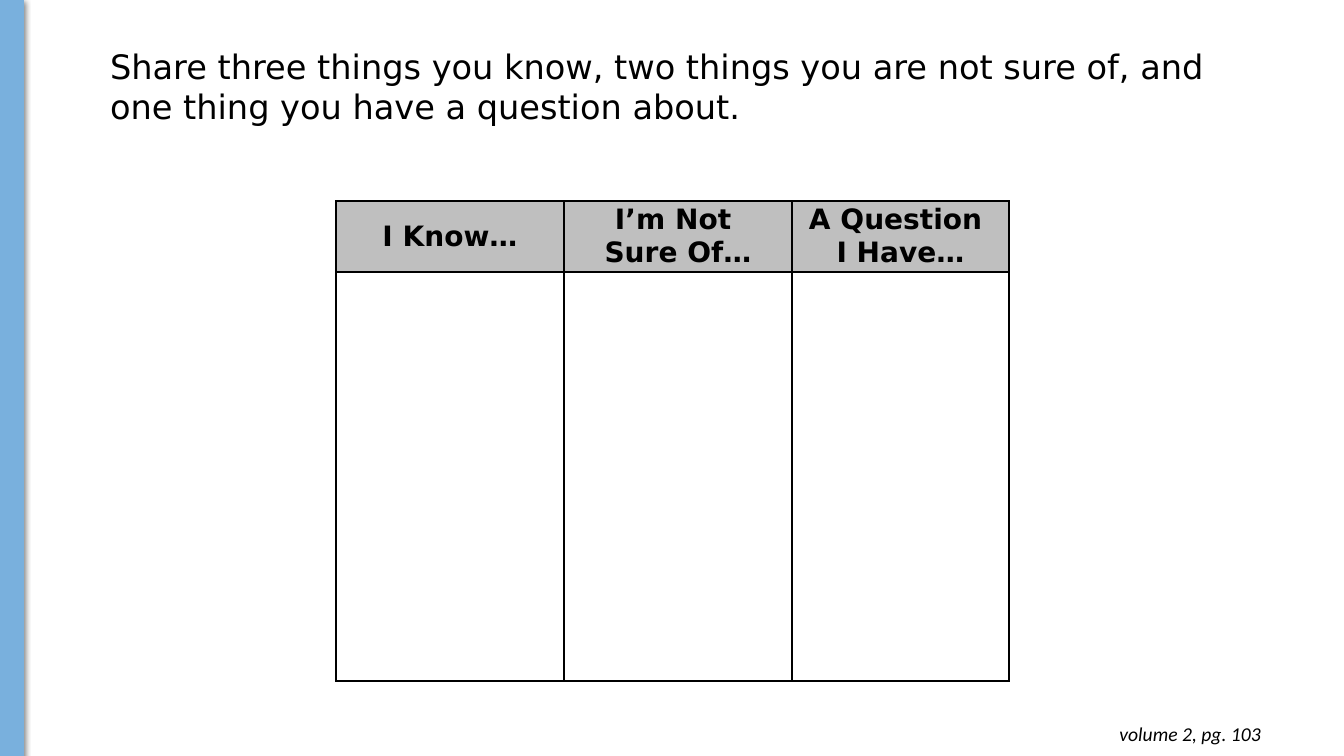
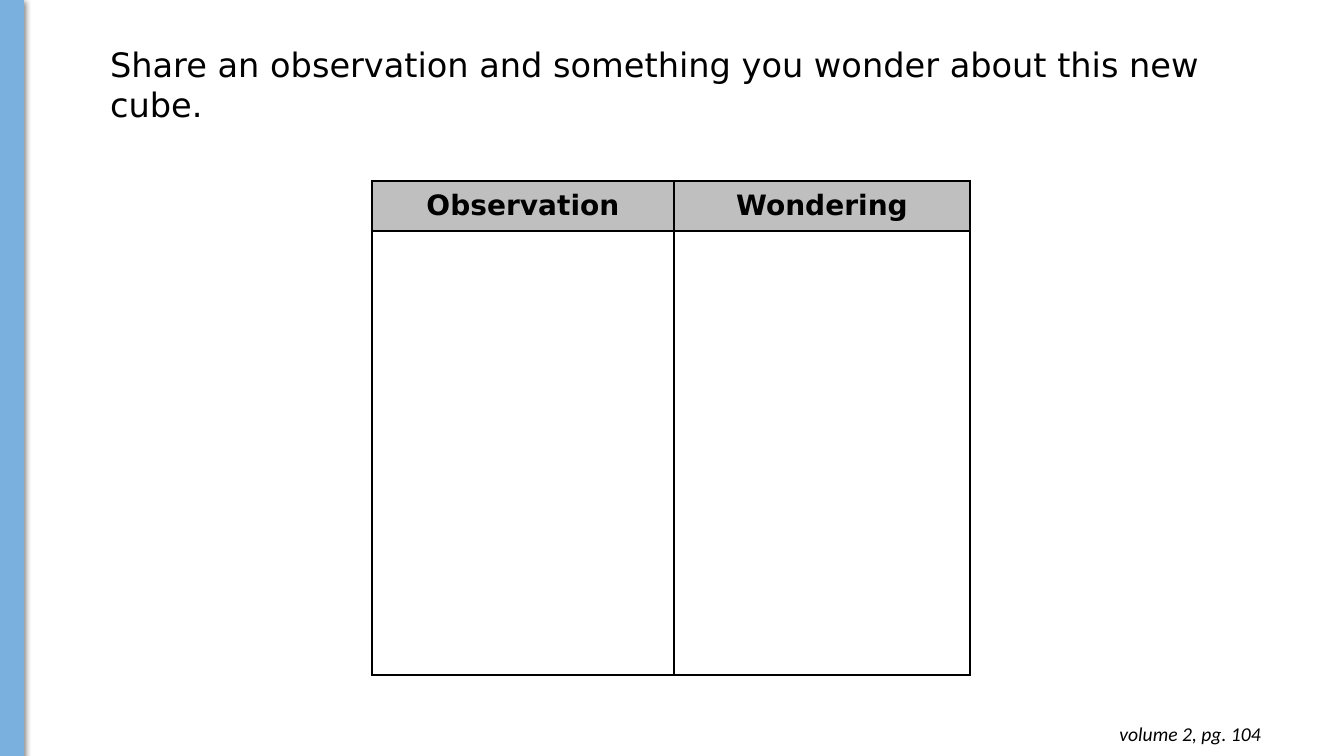
"""Build two discussion slides, each with a prompt and a blank chart to fill in."""
from lxml import etree
from pptx import Presentation
from pptx.dml.color import RGBColor
from pptx.enum.shapes import MSO_SHAPE
from pptx.enum.text import MSO_ANCHOR, MSO_AUTO_SIZE, PP_ALIGN
from pptx.oxml import parse_xml
from pptx.oxml.ns import nsdecls
from pptx.util import Emu, Pt

BLACK = RGBColor(0x00, 0x00, 0x00)
GRAY = RGBColor(0xBF, 0xBF, 0xBF)
BLUE = RGBColor(0x79, 0xB0, 0xDD)
PROMPT_FONT = "DejaVu Sans"
FOOTER_FONT = "Calibri"

SLIDES = [
    {
        "prompt": "Share three things you know, two things you are not sure of, "
                  "and one thing you have a question about.",
        "prompt_box": (100, 41, 1170, 92),
        "heads": ["I Know…", "I’m Not \nSure Of…", "A Question \nI Have…"],
        "corner": (336, 201),
        "cols": [228, 228, 217],
        "rows": [71, 409],
        "inset": 7,
        "footer": "volume 2, pg. 103",
    },
    {
        "prompt": "Share an observation and something you wonder about this new cube.",
        "prompt_box": (100, 39, 1160, 92),
        "heads": ["Observation", "Wondering"],
        "corner": (372, 181),
        "cols": [302, 296],
        "rows": [50, 444],
        "inset": 6,
        "footer": "volume 2, pg. 104",
    },
]


def px(n):
    return Emu(round(n * 914400 / 100.8))


def style(p, font, size, align, bold=False, italic=False):
    p.alignment = align
    for r in p.runs:
        r.font.name, r.font.size = font, Pt(size)
        r.font.bold, r.font.italic = bold, italic
        r.font.color.rgb = BLACK


def add_band(s):
    sp = s.shapes.add_shape(MSO_SHAPE.RECTANGLE, 0, 0, px(24), px(757))
    sp.fill.solid()
    sp.fill.fore_color.rgb = BLUE
    sp.line.color.rgb = BLUE
    sp.line.width = Pt(0.75)
    sp.shadow.inherit = False
    effects = sp.element.spPr.find("{*}effectLst")
    effects.append(parse_xml(
        f'<a:outerShdw {nsdecls("a")} blurRad="{Pt(4.5)}" dist="{Pt(1.5)}" '
        'dir="5400000" rotWithShape="0"><a:srgbClr val="000000">'
        '<a:alpha val="50000"/></a:srgbClr></a:outerShdw>'))


def set_prompt(s, text, box):
    sp = s.shapes.title
    sp.left, sp.top, sp.width, sp.height = map(px, box)
    tf = sp.text_frame
    tf.text = text
    tf.word_wrap = True
    tf.auto_size = MSO_AUTO_SIZE.NONE
    tf.vertical_anchor = MSO_ANCHOR.TOP
    style(tf.paragraphs[0], PROMPT_FONT, 24, PP_ALIGN.LEFT)


def add_footer(s, text):
    tf = s.shapes.add_textbox(*map(px, (981, 712, 290, 44))).text_frame
    tf.text = text
    tf.word_wrap = True
    tf.margin_left = tf.margin_right = tf.margin_top = tf.margin_bottom = px(10)
    style(tf.paragraphs[0], FOOTER_FONT, 14, PP_ALIGN.RIGHT, italic=True)


def add_borders(cell):
    tc_pr = cell._tc.get_or_add_tcPr()
    for side in ("lnL", "lnR", "lnT", "lnB"):
        ln = parse_xml(f'<a:{side} {nsdecls("a")} w="{Pt(1.5)}"/>')
        fill = etree.SubElement(ln, f"{{{ln.nsmap['a']}}}solidFill")
        etree.SubElement(fill, f"{{{ln.nsmap['a']}}}srgbClr", val=str(BLACK))
        tc_pr.append(ln)


def add_chart_table(s, heads, corner, cols, rows, inset):
    box = (*corner, sum(cols), sum(rows))
    table = s.shapes.add_table(len(rows), len(cols), *map(px, box)).table
    table.horz_banding = False
    for row, height in zip(table.rows, rows):
        row.height = px(height)
    for col, width in zip(table.columns, cols):
        col.width = px(width)
    for cell in table.iter_cells():
        add_borders(cell)
        cell.fill.background()
    for i, head in enumerate(heads):
        cell = table.cell(0, i)
        cell.fill.solid()
        cell.fill.fore_color.rgb = GRAY
        cell.vertical_anchor = MSO_ANCHOR.MIDDLE
        cell.margin_left = cell.margin_right = px(inset)
        cell.margin_top = cell.margin_bottom = 0
        p = cell.text_frame.paragraphs[0]
        p.text = head
        style(p, PROMPT_FONT, 20, PP_ALIGN.CENTER, bold=True)


def main():
    prs = Presentation()
    prs.slide_width, prs.slide_height = px(1344), px(756)
    for d in SLIDES:
        s = prs.slides.add_slide(prs.slide_layouts[5])
        add_band(s)
        set_prompt(s, d["prompt"], d["prompt_box"])
        add_chart_table(s, d["heads"], d["corner"], d["cols"], d["rows"], d["inset"])
        add_footer(s, d["footer"])
    prs.save("out.pptx")


if __name__ == "__main__":
    main()
